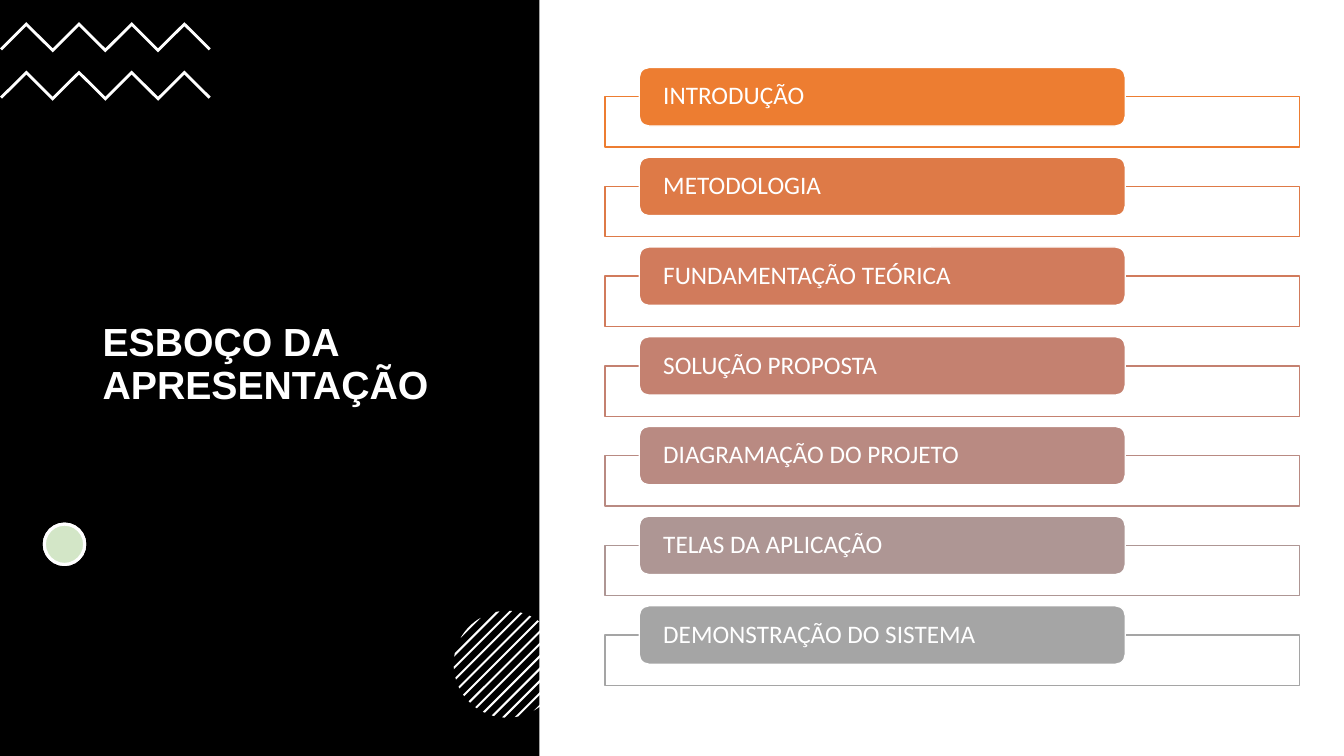
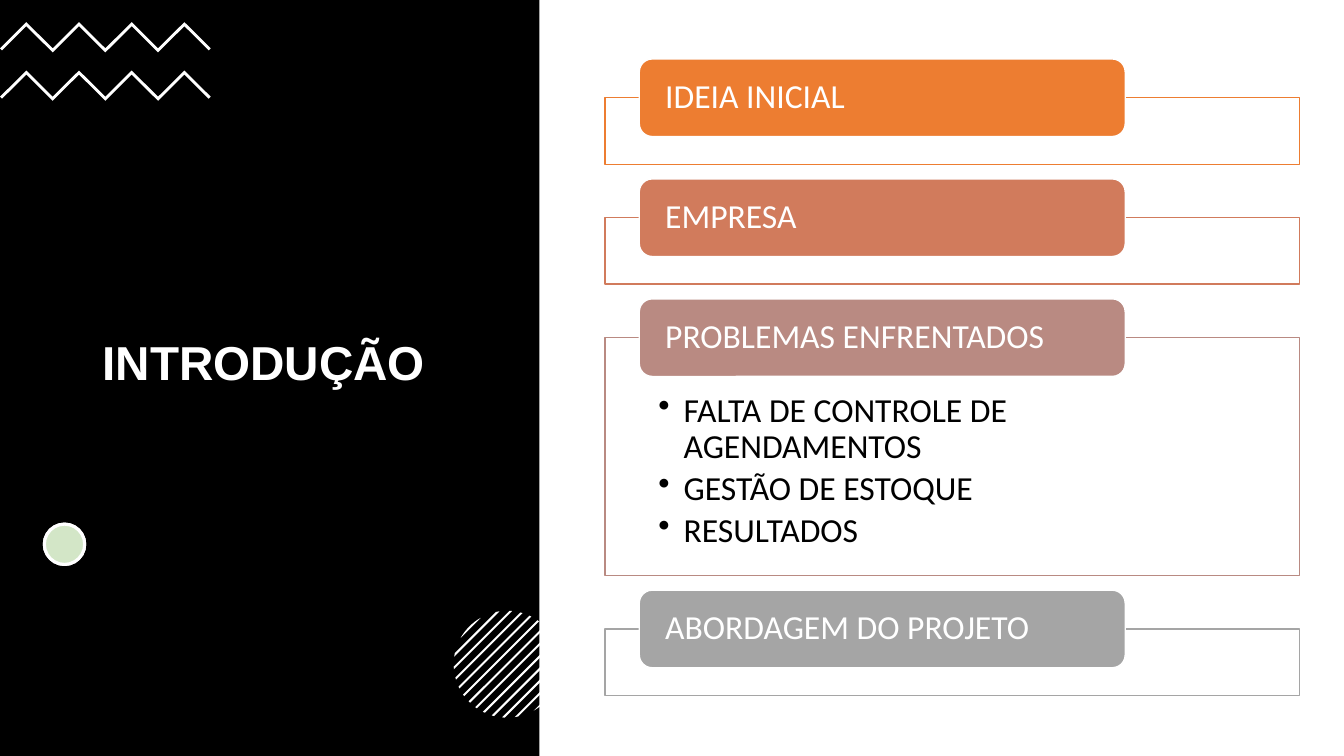
"""Build two outline slides with a dark title panel and a stack of tabbed boxes."""
from math import acos, cos, pi, sin

from lxml import etree
from pptx import Presentation
from pptx.dml.color import RGBColor
from pptx.enum.shapes import MSO_SHAPE
from pptx.enum.text import MSO_ANCHOR, PP_ALIGN
from pptx.oxml.ns import qn
from pptx.util import Inches, Pt

RECT, ROUND, OVAL = MSO_SHAPE.RECTANGLE, MSO_SHAPE.ROUNDED_RECTANGLE, MSO_SHAPE.OVAL
TOP, MIDDLE, LEFT = MSO_ANCHOR.TOP, MSO_ANCHOR.MIDDLE, PP_ALIGN.LEFT

BLACK = RGBColor(0x00, 0x00, 0x00)
WHITE = RGBColor(0xFF, 0xFF, 0xFF)
GREEN = RGBColor(0x70, 0xAD, 0x47)
ORANGE = RGBColor(0xED, 0x7D, 0x31)
RUST = RGBColor(0xDE, 0x7A, 0x47)
CORAL = RGBColor(0xD1, 0x7B, 0x5C)
CLAY = RGBColor(0xC4, 0x81, 0x70)
ROSE = RGBColor(0xB9, 0x8A, 0x82)
MAUVE = RGBColor(0xAE, 0x96, 0x94)
GRAY = RGBColor(0xA5, 0xA5, 0xA5)
HEAD, BODY = "Arial", "Calibri"

SLIDES = [
    {
        "title": "ESBOÇO DA APRESENTAÇÃO", "title_size": 28,
        "size": 18, "top": 0.96, "box": 0.5, "tab": 0.58, "gap": 0.39, "inset": 0.21,
        "items": [
            ("INTRODUÇÃO", ORANGE, []),
            ("METODOLOGIA", RUST, []),
            ("FUNDAMENTAÇÃO TEÓRICA", CORAL, []),
            ("SOLUÇÃO PROPOSTA", CLAY, []),
            ("DIAGRAMAÇÃO DO PROJETO", ROSE, []),
            ("TELAS DA APLICAÇÃO", MAUVE, []),
            ("DEMONSTRAÇÃO DO SISTEMA", GRAY, []),
        ],
    },
    {
        "title": "INTRODUÇÃO", "title_size": 34,
        "size": 24, "top": 0.97, "box": 0.66, "tab": 0.77, "gap": 0.53, "inset": 0.22,
        "items": [
            ("IDEIA INICIAL", ORANGE, []),
            ("EMPRESA", CORAL, []),
            ("PROBLEMAS ENFRENTADOS", ROSE,
             ["FALTA DE CONTROLE DE AGENDAMENTOS", "GESTÃO DE ESTOQUE", "RESULTADOS"]),
            ("ABORDAGEM DO PROJETO", GRAY, []),
        ],
    },
]
LIST_HIGH = 2.36


def paint(shape, fill, line=None, width=1, alpha=None):
    shape.shadow.inherit = False
    shape.fill.solid()
    shape.fill.fore_color.rgb = fill
    if alpha:
        color = shape.element.spPr.find(qn("a:solidFill"))[0]
        etree.SubElement(color, qn("a:alpha")).set("val", str(alpha * 1000))
    if line is None:
        shape.line.fill.background()
    else:
        shape.line.color.rgb = line
        shape.line.width = Pt(width)


def add_block(shapes, kind, place, *style):
    shape = shapes.add_shape(kind, *map(Inches, place))
    paint(shape, *style)
    return shape


def add_outline(shapes, points):
    points = [(Inches(x), Inches(y)) for x, y in points]
    pen = shapes.build_freeform(*points[0])
    pen.add_line_segments(points[1:])
    paint(pen.convert_to_shape(), WHITE)


def write(shape, lines, font, size, color, insets, anchor=MIDDLE, bold=False, bullet=False):
    frame = shape.text_frame
    frame.word_wrap = True
    frame.vertical_anchor = anchor
    (frame.margin_left, frame.margin_top,
     frame.margin_right, frame.margin_bottom) = map(Inches, insets)
    for i, line in enumerate(lines):
        para = frame.add_paragraph() if i else frame.paragraphs[0]
        para.alignment = LEFT
        para.line_spacing = 0.9
        if bullet:
            para.space_after = Pt(4)
            props = para._p.get_or_add_pPr()
            props.set("marL", str(Inches(0.25)))
            props.set("indent", str(Inches(-0.25)))
            etree.SubElement(props, qn("a:buChar")).set("char", "•")
        run = para.add_run()
        run.text = line
        run.font.name, run.font.size, run.font.bold = font, Pt(size), bold
        run.font.color.rgb = color


def add_waves(shapes):
    group = shapes.add_group_shape().shapes
    width, count = 2.09, 8
    for top in (0.22, 0.7):
        upper = [(width * i / count, top + (0 if i % 2 else 0.26)) for i in range(count + 1)]
        inner = [(x, y + 0.04) for x, y in upper[1:-1]]
        end = top + 0.28
        add_outline(group, upper + [(width - 0.02, end)] + inner[::-1] + [(0.02, end)])


def add_stripes(shapes):
    group = shapes.add_group_shape().shapes
    mid_x, mid_y, radius = 5.03, 6.59, 0.53
    step, half, parts = radius / 6.1, 0.01, 6
    for i in range(-6, 7):
        near, far = (acos(max(-1, min(1, (i * step + side) / radius)))
                     for side in (-half, half))
        arc = [near + (far - near) * j / parts for j in range(parts + 1)]
        turns = [pi / 4 + a for a in arc] + [pi / 4 - a for a in arc[::-1]]
        add_outline(group, [(mid_x + radius * cos(t), mid_y + radius * sin(t)) for t in turns])


def add_panel(shapes, title, size):
    add_block(shapes, RECT, (0, 0, 5.35, 7.5), BLACK)
    box = shapes.add_textbox(*map(Inches, (0.92, 1.31, 3.5, 4.63)))
    write(box, [title], HEAD, size, WHITE, (0.1, 0.05, 0.1, 0.05), bold=True)
    add_waves(shapes)
    for fill, alpha in ((WHITE, None), (GREEN, 30)):
        add_block(shapes, OVAL, (0.44, 5.2, 0.4, 0.4), fill, WHITE, 2.25, alpha)
    add_stripes(shapes)


def add_stack(shapes, data):
    group = shapes.add_group_shape().shapes
    top, tab, size = data["top"], data["tab"], data["size"]
    for label, color, points in data["items"]:
        high = LIST_HIGH if points else data["box"]
        box = add_block(group, RECT, (6, top, 6.89, high), WHITE, color, 1, 90)
        if points:
            write(box, points, BODY, size, BLACK, (0.53, 0.55, 0.53, 0.19), TOP, bullet=True)
        head = add_block(group, ROUND, (6.34, top - tab / 2, 4.82, tab), color, WHITE)
        write(head, [label], BODY, size, WHITE, (data["inset"], 0, data["inset"], 0))
        top += high + data["gap"]


def main():
    deck = Presentation()
    deck.slide_width, deck.slide_height = Inches(13.33), Inches(7.5)
    for data in SLIDES:
        shapes = deck.slides.add_slide(deck.slide_layouts[6]).shapes
        add_panel(shapes, data["title"], data["title_size"])
        add_stack(shapes, data)
    deck.save("out.pptx")


if __name__ == "__main__":
    main()
